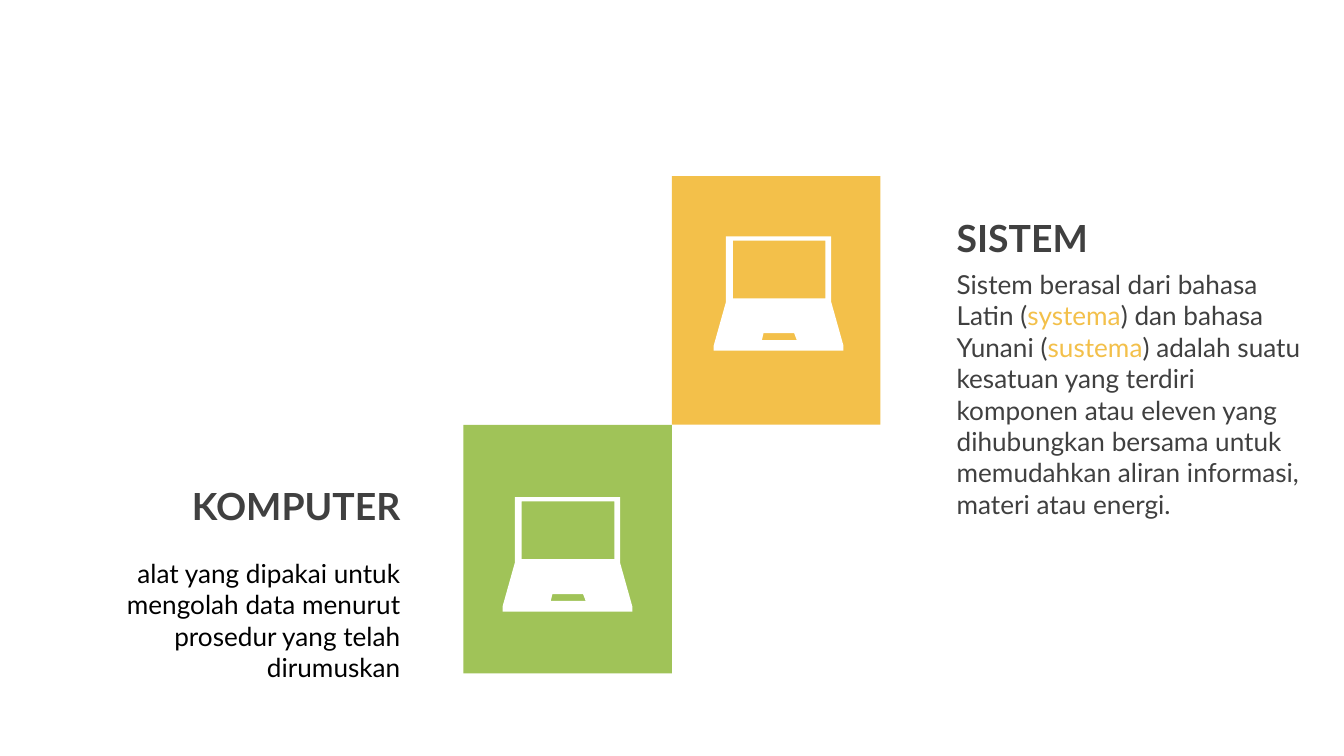
"""Build a slide that explains the words system and computer."""
from pptx import Presentation
from pptx.dml.color import RGBColor
from pptx.enum.shapes import MSO_SHAPE
from pptx.enum.text import MSO_ANCHOR, MSO_AUTO_SIZE, PP_ALIGN
from pptx.util import Cm, Pt

GOLD = RGBColor(0xF3, 0xC0, 0x4A)
GREEN = RGBColor(0xA0, 0xC3, 0x58)
GRAY = RGBColor(0x40, 0x40, 0x40)
BLACK = RGBColor(0, 0, 0)
WHITE = RGBColor(255, 255, 255)

FONT = "Lato"
TILE_W, TILE_H = 3.94, 4.7
MID_X, MID_Y = 12.7, 8.03

UNIT = Cm(0.01)
KEYPAD = [(94, 183), (91, 196), (157, 196), (152, 183)]
SCREEN = [(36, 8), (36, 117), (211, 117), (211, 8)]
BODY = [(23, 0), (222, 0), (222, 124), (245, 206),
        (245, 216), (0, 216), (0, 206), (23, 124)]


def paint(shape, color):
    shape.fill.solid()
    shape.fill.fore_color.rgb = color
    shape.line.fill.background()
    shape.shadow.inherit = False


def add_tile(slide, left, top, color):
    tile = slide.shapes.add_shape(
        MSO_SHAPE.RECTANGLE, Cm(left), Cm(top), Cm(TILE_W), Cm(TILE_H))
    paint(tile, color)


def add_laptop(slide, left, top):
    pen = slide.shapes.build_freeform(*BODY[0], scale=UNIT)
    pen.add_line_segments(BODY[1:])
    for hole in (SCREEN, KEYPAD):
        pen.move_to(*hole[0])
        pen.add_line_segments(hole[1:])
    paint(pen.convert_to_shape(Cm(left), Cm(top)), WHITE)


def add_box(slide, left, top, width, height, align):
    box = slide.shapes.add_textbox(Cm(left), Cm(top), Cm(width), Cm(height))
    frame = box.text_frame
    frame.word_wrap = True
    frame.paragraphs[0].alignment = align
    return frame


def style(run, size, color, bold=False):
    font = run.font
    font.name, font.size, font.bold = FONT, Pt(size), bold
    font.color.rgb = color


def add_head(slide, left, top, width, text, align):
    frame = add_box(slide, left, top, width, 2.21, align)
    frame.vertical_anchor = MSO_ANCHOR.MIDDLE
    line = frame.paragraphs[0]
    line.text = text
    line.line_spacing = 1.1
    line.space_before = Pt(4)
    style(line.runs[0], 20, GRAY, bold=True)


def add_body(slide, left, top, width, height, parts, align):
    frame = add_box(slide, left, top, width, height, align)
    frame.auto_size = MSO_AUTO_SIZE.SHAPE_TO_FIT_TEXT
    for text, color in parts:
        run = frame.paragraphs[0].add_run()
        run.text = text
        style(run, 14, color)


def main():
    deck = Presentation()
    deck.slide_width, deck.slide_height = Cm(25.4), Cm(14.29)
    slide = deck.slides.add_slide(deck.slide_layouts[6])

    add_tile(slide, MID_X, MID_Y - TILE_H, GOLD)
    add_tile(slide, MID_X - TILE_W, MID_Y, GREEN)

    add_head(slide, 0.71, 8.41, 7.11, "KOMPUTER", PP_ALIGN.RIGHT)
    add_body(slide, 1.74, 10.41, 6.08, 2.64, [
        ("alat yang dipakai untuk mengolah data menurut prosedur "
         "yang telah dirumuskan", BLACK),
    ], PP_ALIGN.RIGHT)

    add_head(slide, 17.83, 3.35, 6.07, "SISTEM", PP_ALIGN.LEFT)
    add_body(slide, 17.83, 4.95, 7.11, 5.05, [
        ("Sistem berasal dari bahasa Latin (", GRAY),
        ("systema", GOLD),
        (") dan bahasa Yunani (", GRAY),
        ("sustema", GOLD),
        (") adalah suatu kesatuan yang terdiri komponen atau eleven yang "
         "dihubungkan bersama untuk memudahkan aliran informasi, materi "
         "atau energi.", GRAY),
    ], PP_ALIGN.LEFT)

    add_laptop(slide, 13.49, 4.47)
    add_laptop(slide, 9.5, 9.4)
    deck.save("out.pptx")


main()
